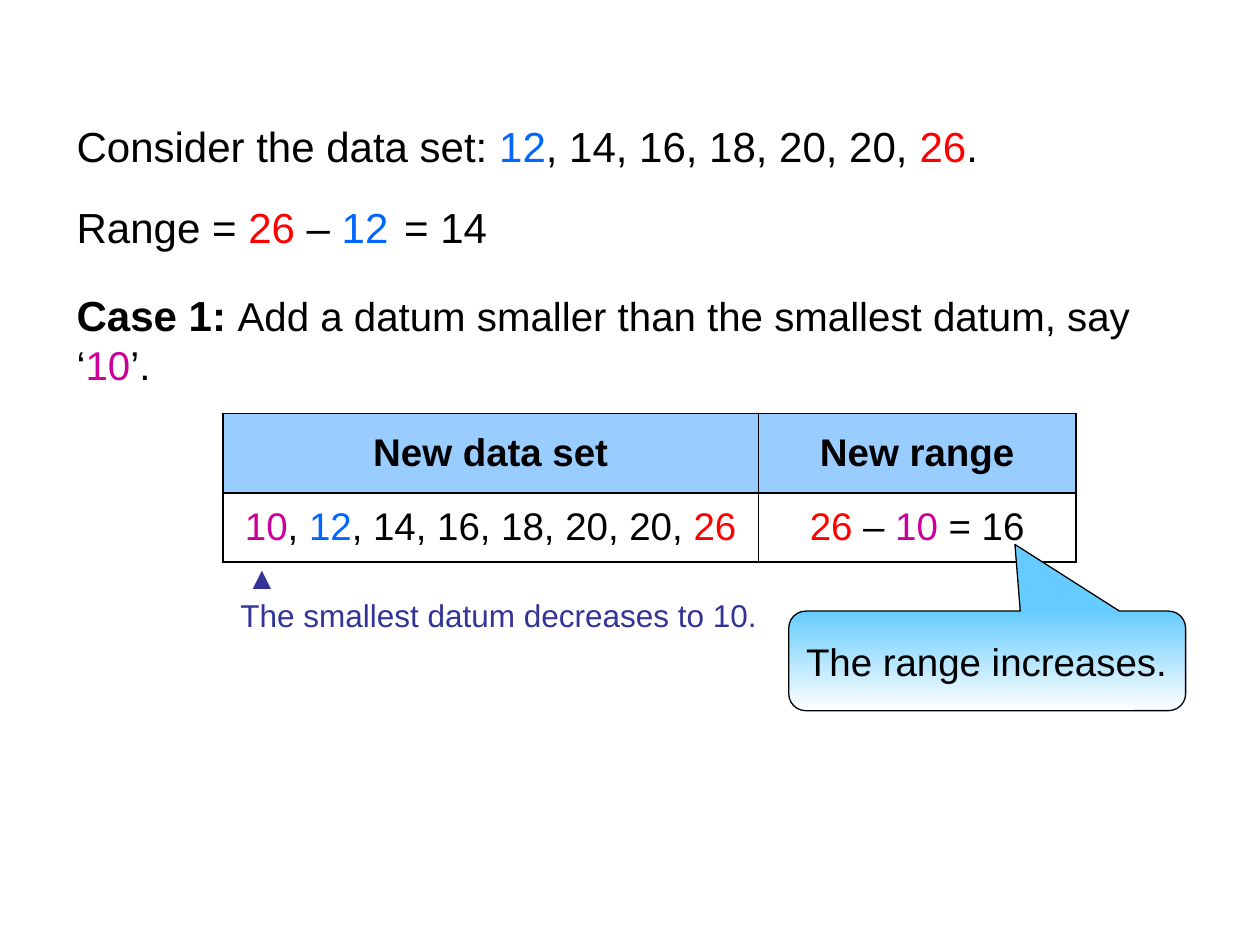
from lxml.etree import SubElement
from pptx import Presentation
from pptx.dml.color import RGBColor
from pptx.enum.shapes import MSO_SHAPE as Shape
from pptx.enum.text import MSO_ANCHOR as Anchor, MSO_AUTO_SIZE as AutoSize, PP_ALIGN as Align
from pptx.oxml.ns import qn
from pptx.util import Pt

BLACK = RGBColor(0x00, 0x00, 0x00)
WHITE = RGBColor(0xFF, 0xFF, 0xFF)
BLUE = RGBColor(0x00, 0x66, 0xFF)
RED = RGBColor(0xFF, 0x00, 0x00)
MAGENTA = RGBColor(0xCC, 0x00, 0x99)
INDIGO = RGBColor(0x33, 0x33, 0x99)
HEADER_BLUE = RGBColor(0x99, 0xCC, 0xFF)
SKY = RGBColor(0x66, 0xCC, 0xFF)

FONT = "Arial"
LEFT = 36.7
TABLE_LEFT, TABLE_TOP = 127.4, 236.2
DATA_WIDTH, RANGE_WIDTH = 306, 181.4
ROW_HEIGHTS = (45.4, 39.6)

MIDDLE_VALUES = (", 14, 16, 18, 20, 20, ", BLACK)
SMALLEST, LARGEST, ADDED = ("12", BLUE), ("26", RED), ("10", MAGENTA)
MINUS = (" – ", BLACK)


def write_runs(paragraph, runs, size=None, bold=None):
    paragraph.font.name = FONT
    if size:
        paragraph.font.size = Pt(size)
    if bold is not None:
        paragraph.font.bold = bold
    for text, color in runs:
        run = paragraph.add_run()
        run.text = text
        run.font.color.rgb = color


def add_text(slide, left, top, width, height, *lines, size=24):
    box = slide.shapes.add_textbox(Pt(left), Pt(top), Pt(width), Pt(height))
    frame = box.text_frame
    frame.word_wrap = True
    frame.auto_size = AutoSize.SHAPE_TO_FIT_TEXT
    for index, runs in enumerate(lines):
        paragraph = frame.add_paragraph() if index else frame.paragraphs[0]
        write_runs(paragraph, runs, size)
    return frame


def add_borders(cell):
    properties = cell._tc.get_or_add_tcPr()
    for side in ("a:lnL", "a:lnR", "a:lnT", "a:lnB"):
        line = SubElement(properties, qn(side), w=str(Pt(1)))
        fill = SubElement(line, qn("a:solidFill"))
        SubElement(fill, qn("a:srgbClr"), val=str(BLACK))


def add_column_table(slide, left, width, heading, values):
    frame = slide.shapes.add_table(2, 1, Pt(left), Pt(TABLE_TOP), Pt(width), Pt(sum(ROW_HEIGHTS)))
    table = frame.table
    table.first_row = table.horz_banding = False
    rows = (([(heading, BLACK)], HEADER_BLUE, True), (values, WHITE, False))
    for index, (runs, color, bold) in enumerate(rows):
        table.rows[index].height = Pt(ROW_HEIGHTS[index])
        cell = table.cell(index, 0)
        add_borders(cell)
        cell.fill.solid()
        cell.fill.fore_color.rgb = color
        cell.vertical_anchor = Anchor.MIDDLE
        paragraph = cell.text_frame.paragraphs[0]
        paragraph.alignment = Align.CENTER
        write_runs(paragraph, runs, 22, bold)


def add_callout(slide, left, top, width, height, text):
    shape = slide.shapes.add_shape(Shape.ROUNDED_RECTANGULAR_CALLOUT, Pt(left), Pt(top), Pt(width), Pt(height))
    shape.shadow.inherit = False
    for index, value in enumerate((0.07, -1.17, 0.17)):
        shape.adjustments[index] = value
    shape.fill.gradient()
    shape.fill.gradient_angle = 270
    for stop, color in zip(shape.fill.gradient_stops, (SKY, WHITE)):
        stop.color.rgb = color
    shape.line.color.rgb = BLACK
    shape.line.width = Pt(0.75)
    frame = shape.text_frame
    frame.word_wrap = True
    frame.vertical_anchor = Anchor.MIDDLE
    paragraph = frame.paragraphs[0]
    paragraph.alignment = Align.LEFT
    write_runs(paragraph, [(text, BLACK)], 22)


def add_case(slide):
    runs = [("Case 1: ", BLACK),
            ("Add a datum smaller than the smallest datum, say ‘", BLACK),
            ADDED, ("’.", BLACK)]
    frame = add_text(slide, LEFT, 162, 664.6, 36.7, runs, size=None)
    title, *details = frame.paragraphs[0].runs
    title.font.size = Pt(24)
    title.font.bold = True
    for run in details:
        run.font.size = Pt(23)


def add_note(slide):
    frame = add_text(slide, 130.3, 315.4, 314.6, 51.1,
                     [("▲", INDIGO)],
                     [("The smallest datum decreases to 10.", INDIGO)], size=18)
    frame.paragraphs[0]._p.get_or_add_pPr().set("marL", str(Pt(3.5)))


def main():
    presentation = Presentation()
    presentation.slide_width, presentation.slide_height = Pt(720), Pt(540)
    slide = presentation.slides.add_slide(presentation.slide_layouts[6])

    add_text(slide, LEFT, 65.5, 653, 36.7,
             [("Consider the data set: ", BLACK), SMALLEST, MIDDLE_VALUES, LARGEST, (".", BLACK)])
    add_text(slide, LEFT, 111.6, 216.7, 36.7,
             [("Range = ", BLACK), LARGEST, MINUS, SMALLEST])
    add_text(slide, 223.9, 111.6, 191.5, 36.7, [("= 14", BLACK)])
    add_case(slide)
    add_column_table(slide, TABLE_LEFT + DATA_WIDTH, RANGE_WIDTH, "New range",
                     [LARGEST, MINUS, ADDED, (" = 16", BLACK)])
    add_column_table(slide, TABLE_LEFT, DATA_WIDTH, "New data set",
                     [ADDED, (", ", BLACK), SMALLEST, MIDDLE_VALUES, LARGEST])
    add_note(slide)
    add_callout(slide, 450.7, 349.2, 226.8, 56.9, "The range increases.")
    presentation.save("out.pptx")


if __name__ == "__main__":
    main()
